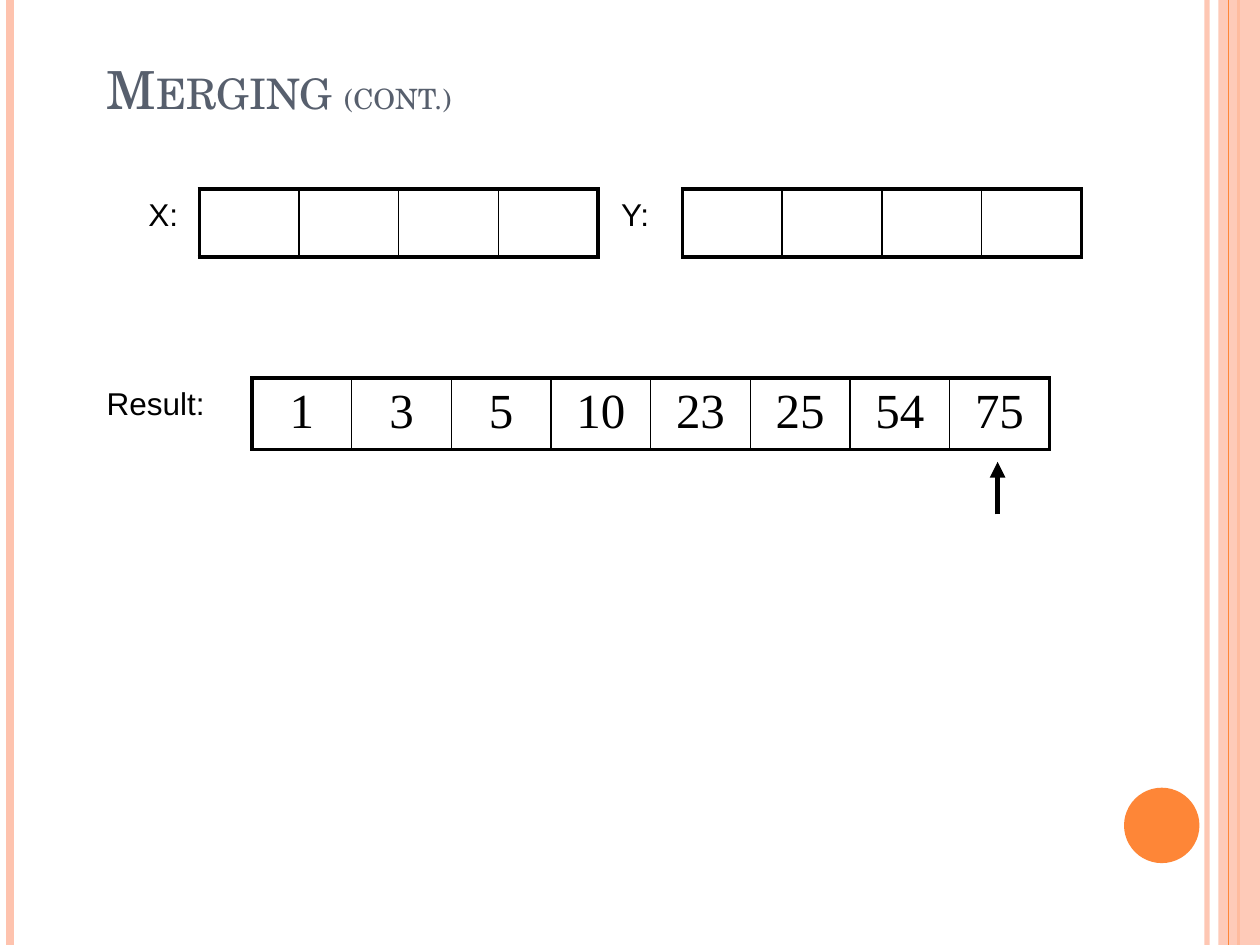
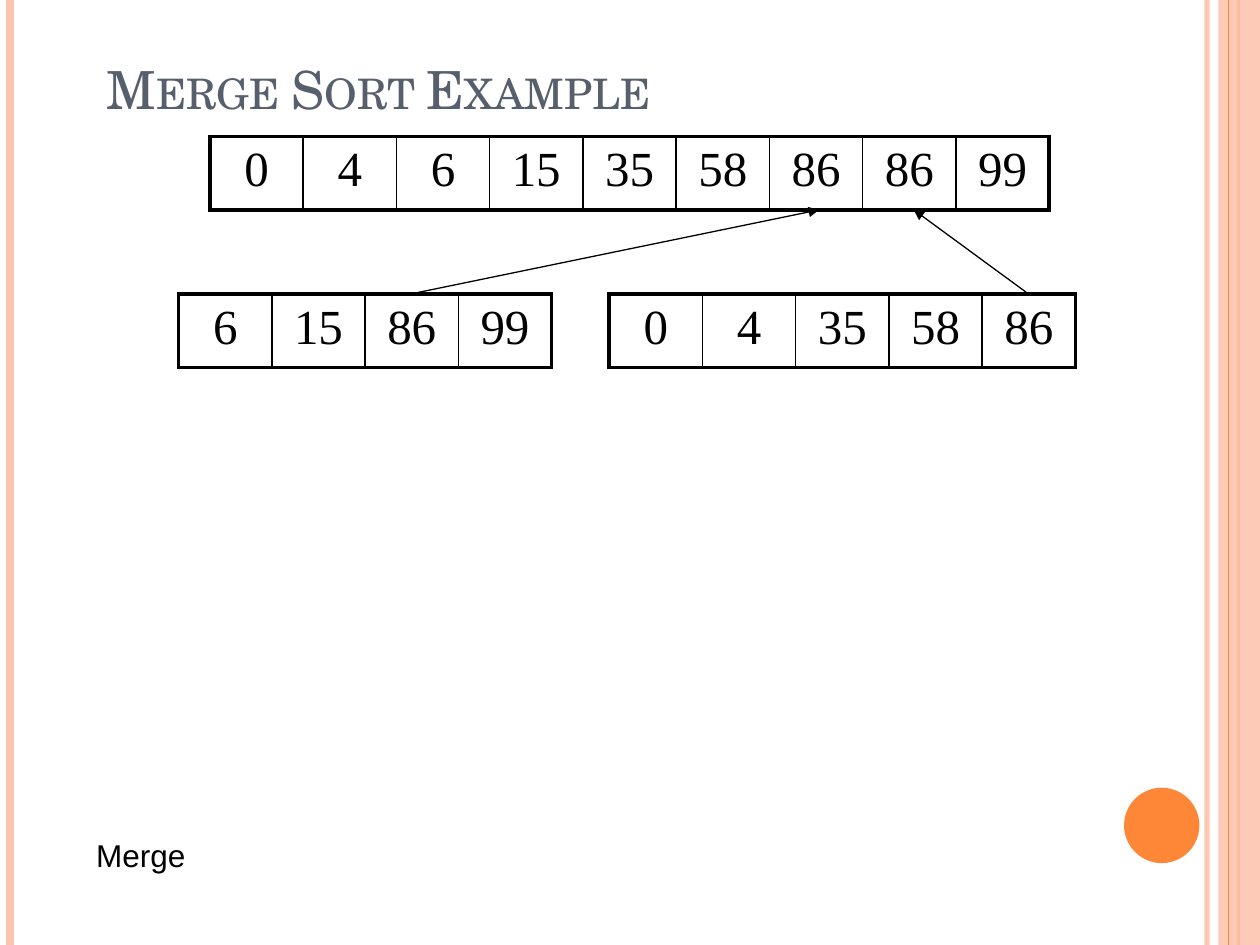
from lxml.etree import SubElement
from pptx import Presentation
from pptx.dml.color import RGBColor
from pptx.enum.shapes import MSO_CONNECTOR, MSO_SHAPE
from pptx.enum.text import MSO_ANCHOR, PP_ALIGN
from pptx.oxml.ns import qn
from pptx.util import Cm, Pt

COLORS = {"peach": "FEC3AE", "orange": "FE8637", "title": "575F6D", "ink": "000000"}
TITLE_FONT, LABEL_FONT, NUMBER_FONT = "TeX Gyre Schola", "Arial", "Times New Roman"
WIDTH, HEIGHT = 25.4, 19.05
OUTER, INNER = 2.25, 1


def rgb(name):
    return RGBColor.from_string(COLORS[name])


def set_alpha(element, percent):
    color = next(element.iter(qn("a:srgbClr")))
    SubElement(color, qn("a:alpha"), val=str(percent * 1000))


def style_run(r, size, font, color):
    r.font.size = Pt(size)
    r.font.name = font
    r.font.color.rgb = rgb(color)


def add_line(s, start, end, color, width, alpha=None, arrow=False):
    points = [Cm(v) for v in (*start, *end)]
    line = s.shapes.add_connector(MSO_CONNECTOR.STRAIGHT, *points)
    line.line.color.rgb = rgb(color)
    line.line.width = Pt(width)
    sp_pr = line._element.spPr
    if alpha:
        set_alpha(sp_pr, alpha)
    if arrow:
        SubElement(line.line._get_or_add_ln(), qn("a:tailEnd"), type="triangle")
    SubElement(sp_pr, qn("a:effectLst"))


def add_block(s, kind, box, color, alpha=None):
    sp = s.shapes.add_shape(kind, *[Cm(v) for v in box])
    sp.shadow.inherit = False
    sp.fill.solid()
    sp.fill.fore_color.rgb = rgb(color)
    sp.line.fill.background()
    if alpha:
        set_alpha(sp._element.spPr, alpha)


def add_rule(s, x, color, width, alpha=None):
    add_line(s, (x, 0), (x, HEIGHT), color, width, alpha)


def add_bands(s):
    add_rule(s, 24.33, "peach", 3, 93)
    add_rule(s, 0.21, "peach", 4.5)
    add_rule(s, 24.97, "orange", 1.5)
    add_block(s, MSO_SHAPE.RECTANGLE, (24.56, 0, 0.84, HEIGHT), "peach", 87)
    add_rule(s, 24.77, "orange", 0.75)
    add_block(s, MSO_SHAPE.OVAL, (22.66, 15.88, 1.52, 1.52), "orange")


def add_text_box(s, box):
    tf = s.shapes.add_textbox(*[Cm(v) for v in box]).text_frame
    tf.word_wrap = True
    return tf


def add_title(s, *parts):
    tf = add_text_box(s, (1.9, 0.42, 21.6, 2.12))
    tf.vertical_anchor = MSO_ANCHOR.BOTTOM
    for text, size in parts:
        r = tf.paragraphs[0].add_run()
        r.text = text
        style_run(r, size, TITLE_FONT, "title")
        r.font._element.set("cap", "small")


def add_label(s, left, top, width, text):
    tf = add_text_box(s, (left, top, width, 1.27))
    tf.text = text
    style_run(tf.paragraphs[0].runs[0], 18, LABEL_FONT, "ink")


def set_borders(cell, first, last):
    tc_pr = cell._tc.get_or_add_tcPr()
    widths = {"lnL": OUTER if first else INNER, "lnR": OUTER if last else INNER,
              "lnT": OUTER, "lnB": OUTER}
    for side, width in widths.items():
        ln = SubElement(tc_pr, qn(f"a:{side}"), w=str(Pt(width)))
        fill = SubElement(ln, qn("a:solidFill"))
        SubElement(fill, qn("a:srgbClr"), val=COLORS["ink"])


def add_array(s, left, top, cell_width, cell_height, values):
    count = len(values)
    frame = s.shapes.add_table(1, count, Cm(left), Cm(top),
                               Cm(cell_width * count), Cm(cell_height))
    table = frame.table
    table.first_row = table.horz_banding = False
    for i, value in enumerate(values):
        table.columns[i].width = Cm(cell_width)
        cell = table.cell(0, i)
        set_borders(cell, i == 0, i == count - 1)
        cell.fill.background()
        if value != "":
            p = cell.text_frame.paragraphs[0]
            p.text = str(value)
            p.alignment = PP_ALIGN.CENTER
            style_run(p.runs[0], 28, NUMBER_FONT, "ink")


def new_slide(prs, *title_parts):
    s = prs.slides.add_slide(prs.slide_layouts[6])
    add_bands(s)
    add_title(s, *title_parts)
    return s


def build_merging(prs):
    s = new_slide(prs, ("Merging ", 30), ("(cont.)", 20))
    inputs_top, result_top, cell_width = 3.81, 7.62, 2.01
    for label, label_left, array_left in (("X:", 2.74, 4.02), ("Y:", 12.27, 13.76)):
        add_array(s, array_left, inputs_top, cell_width, 1.37, [""] * 4)
        add_label(s, label_left, inputs_top, 1.48, label)
    add_array(s, 5.08, result_top, cell_width, 1.42, [1, 3, 5, 10, 23, 25, 54, 75])
    add_label(s, 1.9, result_top, 2.96, "Result:")
    add_line(s, (20.11, 10.37), (20.11, 9.31), "ink", 3, arrow=True)


def build_merge_sort(prs):
    s = new_slide(prs, ("Merge Sort Example", 30))
    merged_top, halves_top, cell_width, cell_height = 2.75, 5.93, 1.88, 1.48
    add_array(s, 4.23, merged_top, cell_width, cell_height,
              [0, 4, 6, 15, 35, 58, 86, 86, 99])
    add_array(s, 3.6, halves_top, cell_width, cell_height, [6, 15, 86, 99])
    add_array(s, 12.28, halves_top, cell_width, cell_height, [0, 4, 35, 58, 86])
    add_label(s, 1.69, 16.72, 12.91, "Merge")
    for start_x, end_x in ((8.26, 16.51), (20.74, 18.42)):
        add_line(s, (start_x, halves_top), (end_x, merged_top + cell_height),
                 "ink", 0.75, arrow=True)


def main():
    prs = Presentation()
    prs.slide_width, prs.slide_height = Cm(WIDTH), Cm(HEIGHT)
    build_merging(prs)
    build_merge_sort(prs)
    prs.save("out.pptx")


if __name__ == "__main__":
    main()
